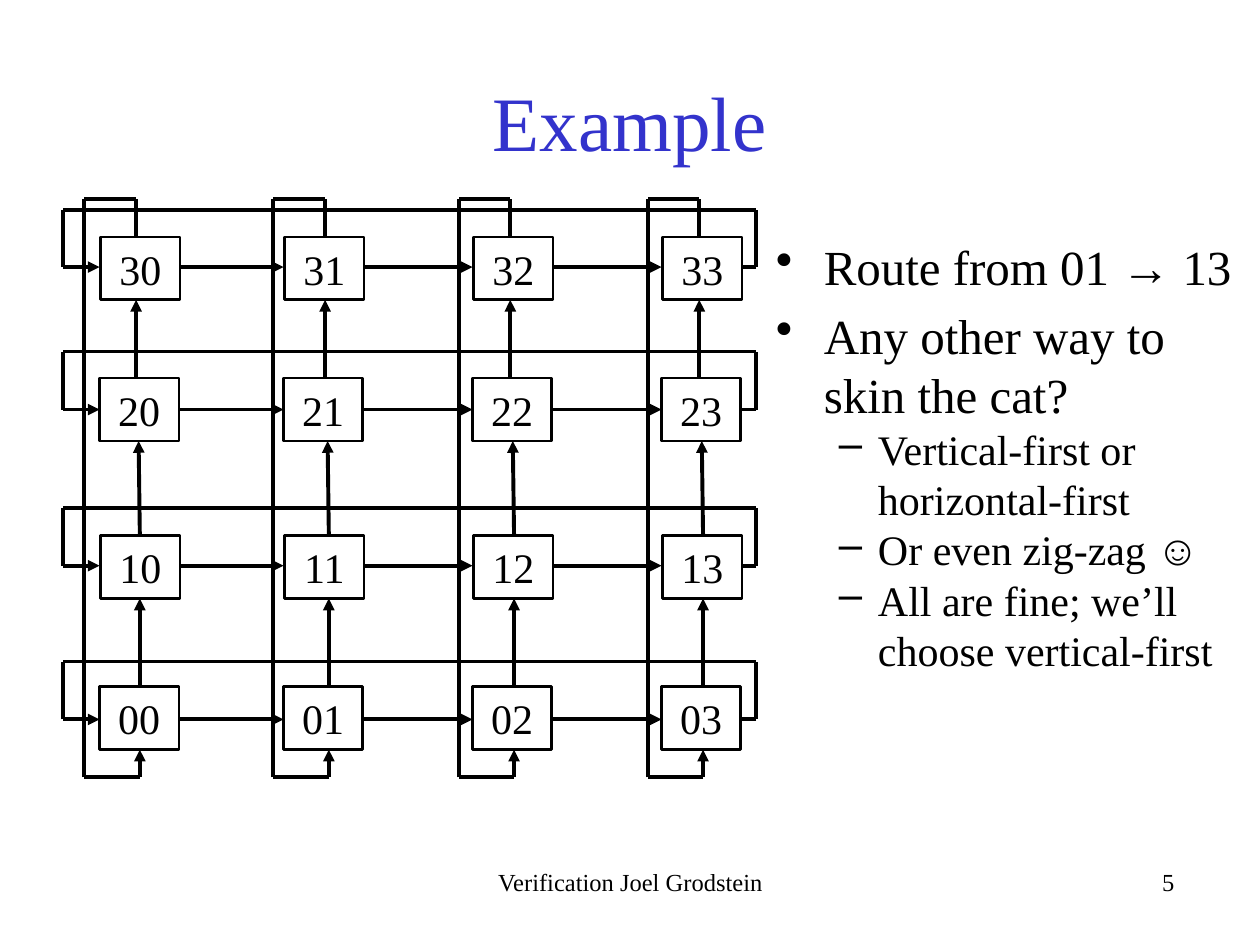
from dataclasses import dataclass

import pptx
import pptx.dml.color
import pptx.enum.shapes
import pptx.enum.text
import pptx.oxml
import pptx.oxml.ns
import pptx.util
from pptx.util import Inches

Align = pptx.enum.text.PP_ALIGN
Anchor = pptx.enum.text.MSO_ANCHOR
Color = pptx.dml.color.RGBColor
NS = pptx.oxml.ns.nsdecls("a")


@dataclass(frozen=True)
class Theme:
    font: str = "Times New Roman"
    ink: str = "000000"
    paper: str = "FFFFFF"
    accent: str = "3333CC"
    title: float = 44
    body: float = 28
    sub: float = 24
    node: float = 24
    foot: float = 14
    wire: float = 2.25
    edge: float = 1.5


@dataclass(frozen=True)
class Label:
    text: str
    box: tuple[float, float, float, float]
    size: float
    color: str
    align: Align
    anchor: Anchor = Anchor.TOP


@dataclass(frozen=True)
class Row:
    name: int
    top: float
    mid: float
    loop: float
    shift: float


@dataclass(frozen=True)
class Col:
    name: int
    left: float
    mid: float


@dataclass(frozen=True)
class Item:
    text: str
    level: int = 0


@dataclass(frozen=True)
class Style:
    size: float
    mark: str
    left: float
    hang: float
    gap: float


THEME = Theme()
BOX_W, BOX_H = 0.63, 0.5
LOOP_L, LOOP_R = 0.5, 6
BUS_TOP, BUS_END, BUS_GAP = 1.58, 6.17, 0.44
LEAN = 0.03

ROWS = [
    Row(3, 1.88, 2.12, 1.67, 0.01),
    Row(2, 3, 3.25, 2.79, 0),
    Row(1, 4.25, 4.49, 4.03, 0.01),
    Row(0, 5.45, 5.71, 5.25, 0),
]
COLS = [Col(0, 0.79, 1.11), Col(1, 2.25, 2.61), Col(2, 3.75, 4.08), Col(3, 5.25, 5.58)]
LABELS = [
    Label("Example", (0.75, 0.33, 8.5, 1.25), THEME.title, THEME.accent, Align.CENTER, Anchor.MIDDLE),
    Label("Verification Joel Grodstein", (3.42, 6.83, 3.17, 0.5), THEME.foot, THEME.ink, Align.CENTER),
    Label("5", (6.25, 6.83, 3.17, 0.5), THEME.foot, THEME.ink, Align.RIGHT),
]
ITEMS = [
    Item("Route from 01 → 13"),
    Item("Any other way to skin the cat?"),
    Item("Vertical-first or horizontal-first", 1),
    Item("Or even zig-zag ☺", 1),
    Item("All are fine; we’ll choose vertical-first", 1),
]
STYLES = [
    Style(THEME.body, "•", 0.38, 0.38, 5.6),
    Style(THEME.sub, "–", 0.81, 0.31, 0),
]

deck = pptx.Presentation()
deck.slide_width, deck.slide_height = Inches(10), Inches(7.5)
slide = deck.slides.add_slide(deck.slide_layouts[6])


def add_run(para, text: str, size: float, color: str) -> None:
    run = para.add_run()
    run.text = text
    run.font.name = THEME.font
    run.font.size = pptx.util.Pt(size)
    run.font.color.rgb = Color.from_string(color)


def add_wire(x1: float, y1: float, x2: float, y2: float, arrow: bool = False) -> None:
    kind = pptx.enum.shapes.MSO_CONNECTOR.STRAIGHT
    wire = slide.shapes.add_connector(kind, Inches(x1), Inches(y1), Inches(x2), Inches(y2))
    wire.line.color.rgb = Color.from_string(THEME.ink)
    wire.line.width = pptx.util.Pt(THEME.wire)
    if arrow:
        wire.line._get_or_add_ln().append(pptx.oxml.parse_xml(f'<a:tailEnd {NS} type="triangle"/>'))
    wire._element.spPr.append(pptx.oxml.parse_xml(f"<a:effectLst {NS}/>"))


def add_label(label: Label) -> None:
    frame = slide.shapes.add_textbox(*map(Inches, label.box)).text_frame
    frame.word_wrap = True
    frame.vertical_anchor = label.anchor
    para = frame.paragraphs[0]
    para.alignment = label.align
    add_run(para, label.text, label.size, label.color)


def add_list(items: list[Item]) -> None:
    frame = slide.shapes.add_textbox(Inches(6.06), Inches(1.83), Inches(3.91), Inches(3.61)).text_frame
    frame.word_wrap = True
    for i, item in enumerate(items):
        style = STYLES[item.level]
        para = frame.add_paragraph() if i else frame.paragraphs[0]
        para.level = item.level
        para.space_before = pptx.util.Pt(style.gap)
        props = para._p.get_or_add_pPr()
        props.set("marL", str(Inches(style.left)))
        props.set("indent", str(-Inches(style.hang)))
        props.append(pptx.oxml.parse_xml(f'<a:buChar {NS} char="{style.mark}"/>'))
        add_run(para, item.text, style.size, THEME.ink)


def add_node(row: Row, col: Col) -> None:
    node = slide.shapes.add_shape(
        pptx.enum.shapes.MSO_SHAPE.RECTANGLE,
        Inches(col.left + row.shift), Inches(row.top), Inches(BOX_W), Inches(BOX_H),
    )
    node.shadow.inherit = False
    node.fill.solid()
    node.fill.fore_color.rgb = Color.from_string(THEME.paper)
    node.line.color.rgb = Color.from_string(THEME.ink)
    node.line.width = pptx.util.Pt(THEME.edge)
    frame = node.text_frame
    frame.vertical_anchor = Anchor.TOP
    para = frame.paragraphs[0]
    para.alignment = Align.CENTER
    add_run(para, f"{row.name}{col.name}", THEME.node, THEME.ink)


def wire_row(row: Row) -> None:
    for here, there in zip(COLS, COLS[1:]):
        add_wire(here.left + BOX_W, row.mid, there.left, row.mid, True)
    add_wire(LOOP_R, row.mid, COLS[-1].left + BOX_W, row.mid)
    add_wire(LOOP_R, row.mid, LOOP_R, row.loop)
    add_wire(LOOP_R, row.loop, LOOP_L, row.loop)
    add_wire(LOOP_L, row.mid, LOOP_L, row.loop)
    add_wire(LOOP_L, row.mid, COLS[0].left, row.mid, True)


def wire_col(col: Col) -> None:
    bus, peak = col.mid - BUS_GAP, col.mid - LEAN
    starts = [(peak, peak), (col.mid, col.mid - 0.01), (col.mid, col.mid)]
    for (x1, x2), upper, lower in zip(starts, ROWS, ROWS[1:]):
        add_wire(x1, lower.top, x2, upper.top + BOX_H, True)
    add_wire(peak, ROWS[0].top, peak, BUS_TOP)
    add_wire(peak, BUS_TOP, bus, BUS_TOP)
    add_wire(bus, BUS_END, bus, BUS_TOP)
    add_wire(col.mid, BUS_END, bus, BUS_END)
    add_wire(col.mid, BUS_END, col.mid, ROWS[-1].top + BOX_H, True)


for row in ROWS:
    wire_row(row)
for col in COLS:
    wire_col(col)
for row in ROWS:
    for col in COLS:
        add_node(row, col)
for label in LABELS:
    add_label(label)
add_list(ITEMS)

deck.save("out.pptx")
